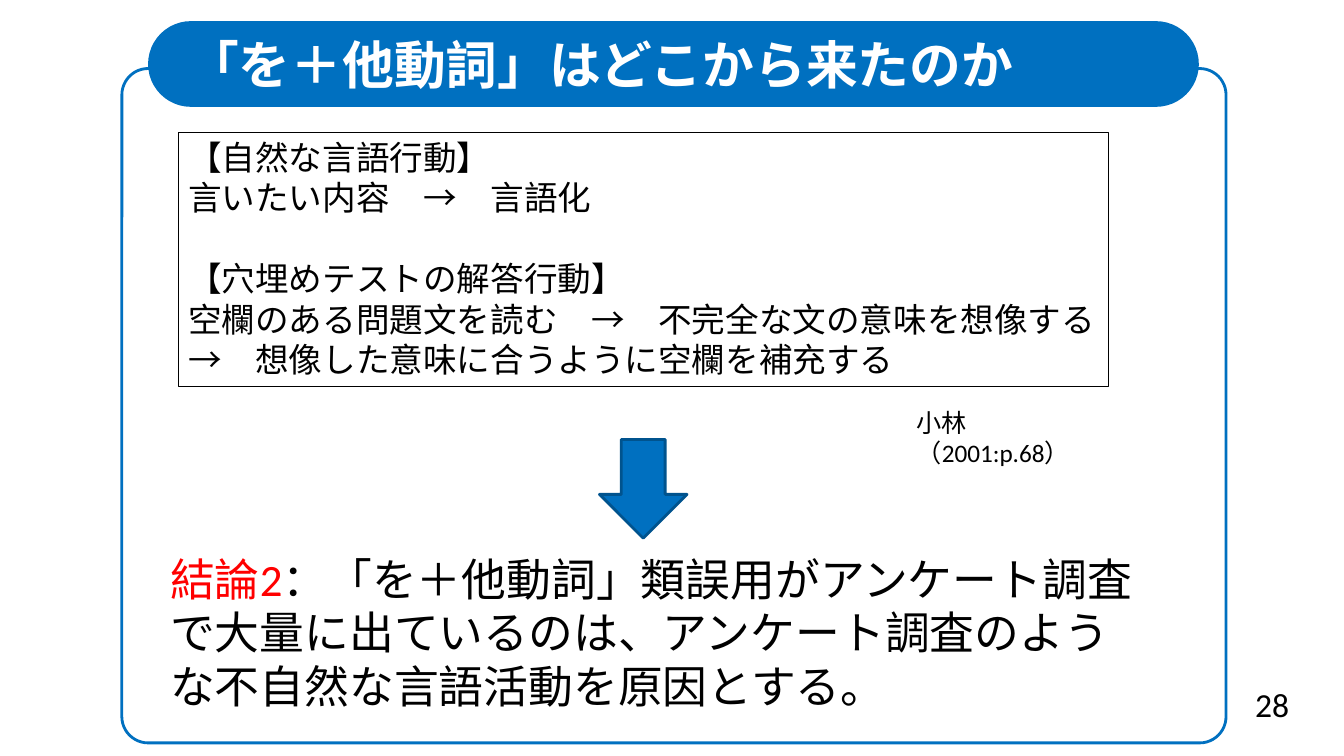
from dataclasses import dataclass

from pptx import Presentation
from pptx import util as u
from pptx.dml.color import RGBColor
from pptx.enum import shapes, text


@dataclass(frozen=True)
class Theme:
    """Colours, fonts and type sizes of the deck."""
    blue: str = "0070C0"
    dark_blue: str = "00538E"
    red: str = "FF0000"
    black: str = "000000"
    white: str = "FFFFFF"
    body_font: str = "Calibri"
    title_font: str = "Noto Sans CJK SC"
    title: int = 37
    conclusion: int = 32
    body: int = 24
    citation: int = 18


THEME = Theme()
KIND = shapes.MSO_SHAPE


def add_box(slide, kind, box, fill=None, line=None, width=2):
    """Add a preset shape with the given fill and outline."""
    shape = slide.shapes.add_shape(kind, *map(u.Inches, box))
    shape.shadow.inherit = False
    if fill:
        shape.fill.solid()
        shape.fill.fore_color.rgb = RGBColor.from_string(fill)
    else:
        shape.fill.background()
    if line:
        shape.line.color.rgb = RGBColor.from_string(line)
        shape.line.width = u.Pt(width)
    else:
        shape.line.fill.background()
    return shape


def add_run(paragraph, words, size, color=THEME.black, font=THEME.body_font, bold=False):
    """Append one formatted run to a paragraph."""
    run = paragraph.add_run()
    run.text = words
    run.font.size = u.Pt(size)
    run.font.name = font
    run.font.bold = bold
    run.font.color.rgb = RGBColor.from_string(color)


def add_text(slide, box):
    """Add a wrapping text box and return its frame."""
    frame = slide.shapes.add_textbox(*map(u.Inches, box)).text_frame
    frame.word_wrap = True
    return frame


def add_panel(slide, box):
    """Draw the rounded outline with the title bar across its top edge."""
    left, top, width, height = box
    panel = add_box(slide, KIND.ROUNDED_RECTANGLE, box, line=THEME.blue)
    panel.adjustments[0] = 0.039
    bar = add_box(slide, KIND.ROUNDED_RECTANGLE,
                  (left + 0.26, top - 0.47, width - 0.53, 0.85), fill=THEME.blue)
    bar.adjustments[0] = 0.5
    frame = add_text(slide, (left + 0.55, top - 0.31, 9.49, 0.53))
    frame.vertical_anchor = text.MSO_ANCHOR.MIDDLE
    add_run(frame.paragraphs[0], "「を＋他動詞」はどこから来たのか",
            THEME.title, THEME.white, THEME.title_font, True)


def add_comparison(slide, box):
    """Frame the two behaviours and put the citation under the right end."""
    left, top, width, height = box
    behaviours = [
        ["【自然な言語行動】", "言いたい内容　→　言語化"],
        ["【穴埋めテストの解答行動】",
         "空欄のある問題文を読む　→　不完全な文の意味を想像する",
         "→　想像した意味に合うように空欄を補充する"],
    ]
    frame = add_box(slide, KIND.RECTANGLE, box, line=THEME.black, width=0.75).text_frame
    frame.word_wrap = True
    frame.vertical_anchor = text.MSO_ANCHOR.TOP
    paragraph = None
    for behaviour in behaviours:
        for index, words in enumerate(behaviour):
            first = paragraph is None
            paragraph = frame.paragraphs[0] if first else frame.add_paragraph()
            paragraph.alignment = text.PP_ALIGN.LEFT
            if index == 0 and not first:
                paragraph.space_before = u.Pt(29)
            add_run(paragraph, words, THEME.body)
    citation = add_text(slide, (left + width - 2, top + height + 0.16, 1.99, 0.4))
    add_run(citation.paragraphs[0], "小林（2001:p.68）", THEME.citation)


def add_conclusion(slide, box):
    """Write the conclusion below a downward arrow."""
    left, top, width, height = box
    add_box(slide, KIND.DOWN_ARROW, (left + 4.36, top - 1.06, 0.87, 0.98),
            THEME.blue, THEME.dark_blue)
    paragraph = add_text(slide, box).paragraphs[0]
    add_run(paragraph, "結論2", THEME.conclusion, THEME.red)
    add_run(paragraph,
            "：「を＋他動詞」類誤用がアンケート調査で大量に出ているのは、"
            "アンケート調査のような不自然な言語活動を原因とする。", THEME.conclusion)


def add_page_number(slide, box):
    """Write the page number."""
    add_run(add_text(slide, box).paragraphs[0], "28", THEME.body)


def main():
    """Build the slide and save it."""
    presentation = Presentation()
    presentation.slide_width = u.Inches(13.34)
    presentation.slide_height = u.Inches(7.5)
    slide = presentation.slides.add_slide(presentation.slide_layouts[6])
    add_panel(slide, (1.21, 0.68, 10.96, 6.69))
    add_page_number(slide, (12.36, 6.74, 0.61, 0.5))
    add_comparison(slide, (1.77, 1.31, 9.23, 2.52))
    add_conclusion(slide, (1.59, 5.42, 9.83, 1.72))
    presentation.save("out.pptx")


if __name__ == "__main__":
    main()
